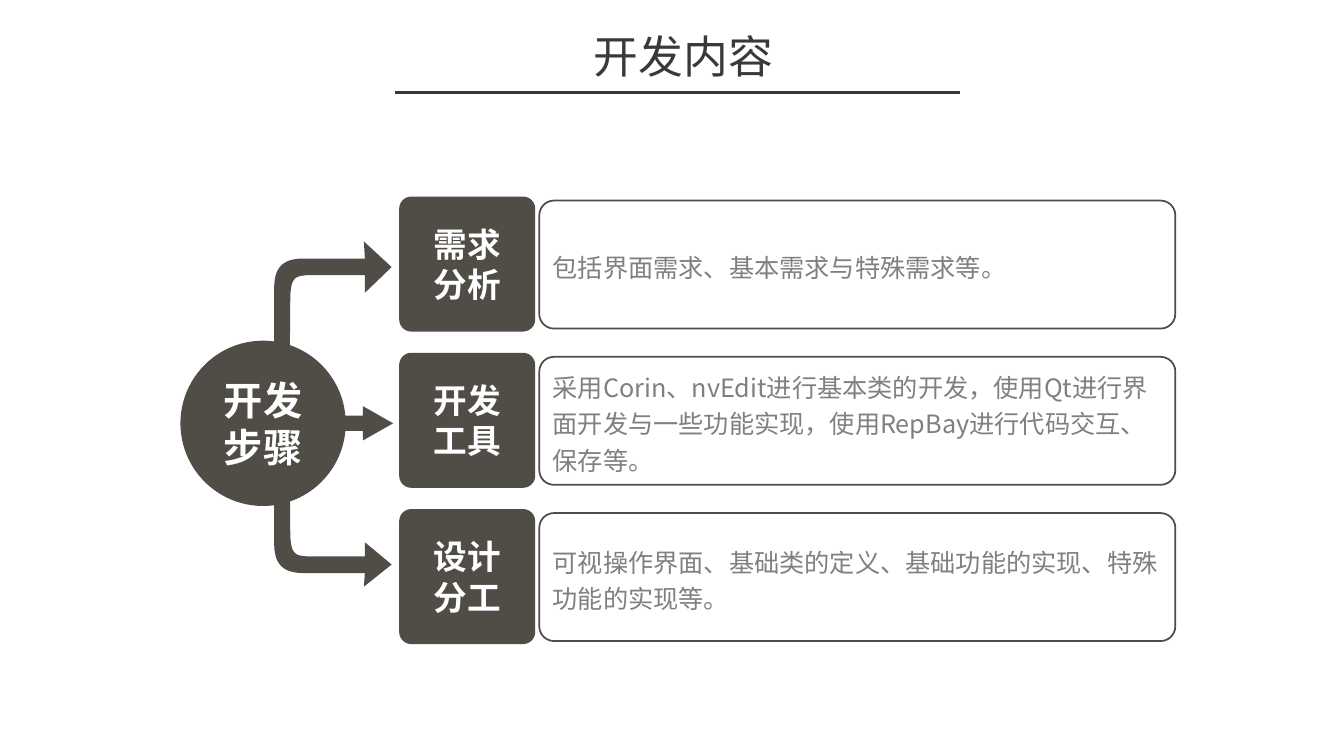
"""Build the development content slide: a hub, three arrows and three described steps."""
from dataclasses import dataclass
from typing import Optional

from lxml import etree
from pptx import Presentation, util as u
from pptx.dml.color import RGBColor
from pptx.enum import shapes as sh, text as tx
from pptx.oxml import ns

CELL = 0.1
COLUMNS, ROWS = 133.33, 75


@dataclass(frozen=True)
class Theme:
    font: str = "Noto Sans CJK SC"
    dark: RGBColor = RGBColor.from_string("504D47")
    heading: RGBColor = RGBColor.from_string("3B3838")
    body: RGBColor = RGBColor.from_string("808080")
    white: RGBColor = RGBColor.from_string("FFFFFF")
    heading_size: int = 32
    hub_size: int = 28
    step_size: int = 24
    body_size: int = 18


@dataclass(frozen=True)
class Area:
    column: float
    row: float
    width: float
    height: float


@dataclass(frozen=True)
class Lettering:
    size: int
    color: RGBColor
    bold: bool = False
    align: tx.PP_ALIGN = tx.PP_ALIGN.CENTER
    spacing: Optional[float] = None
    side_inset: float = 1


@dataclass(frozen=True)
class Step:
    name: str
    detail: str


@dataclass(frozen=True)
class Bend:
    tip_row: float
    outward: int
    barb: float


THEME = Theme()
HEADING = Lettering(THEME.heading_size, THEME.heading)
HUB = Lettering(THEME.hub_size, THEME.white, bold=True)
STEP_NAME = Lettering(THEME.step_size, THEME.white, bold=True, side_inset=2)
DETAIL = Lettering(THEME.body_size, THEME.body, align=tx.PP_ALIGN.LEFT,
                   spacing=1.2, side_inset=0.9)

STEPS = (
    Step("需求分析", "包括界面需求、基本需求与特殊需求等。"),
    Step("开发工具", "采用Corin、nvEdit进行基本类的开发，使用Qt进行界面开发与一些功能实现，"
                 "使用RepBay进行代码交互、保存等。"),
    Step("设计分工", "可视操作界面、基础类的定义、基础功能的实现、特殊功能的实现等。"),
)
BENDS = (Bend(56, 1, 2.2), Bend(26.5, -1, 2.55))
FIRST_ROW, STEP_PITCH = 19.5, 15.5
HUB_ROW = 42


def cells(count: float) -> u.Emu:
    """Turn a count of grid cells into a length."""
    return u.Inches(count * CELL)


def place(area: Area) -> tuple:
    """Give the left, top, width and height of an area."""
    return cells(area.column), cells(area.row), cells(area.width), cells(area.height)


def write(holder, wording: str, style: Lettering, anchor=tx.MSO_ANCHOR.MIDDLE) -> None:
    """Put one styled paragraph into a shape."""
    frame = holder.text_frame
    frame.word_wrap = True
    frame.vertical_anchor = anchor
    frame.margin_left = frame.margin_right = cells(style.side_inset)
    frame.margin_top = frame.margin_bottom = cells(0.45)
    paragraph = frame.paragraphs[0]
    paragraph.text = wording
    paragraph.alignment = style.align
    paragraph.line_spacing = style.spacing
    font = paragraph.font
    font.size, font.bold, font.name = u.Pt(style.size), style.bold, THEME.font
    font.color.rgb = style.color
    latin = next(paragraph._p.iter(ns.qn("a:latin")))
    east_asian = etree.Element(ns.qn("a:ea"), typeface=THEME.font)
    latin.addnext(east_asian)


def paint(figure) -> None:
    """Give a shape the solid dark look."""
    figure.shadow.inherit = False
    figure.fill.solid()
    figure.fill.fore_color.rgb = THEME.dark
    figure.line.fill.background()


def add_solid(slide, kind: sh.MSO_SHAPE, area: Area, adjustments: tuple = ()):
    """Add a dark preset shape."""
    figure = slide.shapes.add_shape(kind, *place(area))
    for index, value in enumerate(adjustments):
        figure.adjustments[index] = value
    paint(figure)
    return figure


def curve(start: tuple, first: tuple, second: tuple, end: tuple) -> list:
    """Sample a cubic curve from start to end."""
    count = 16
    return [tuple((1 - t) ** 3 * a + 3 * (1 - t) ** 2 * t * b
                  + 3 * (1 - t) * t ** 2 * c + t ** 3 * d
                  for a, b, c, d in zip(start, first, second, end))
            for t in (i / count for i in range(count + 1))]


def add_bend(slide, bend: Bend) -> None:
    """Add an arrow that leaves the hub and turns right."""
    stem = (HUB_ROW - bend.tip_row) * -bend.outward
    inner = curve((28.8, -2.8), (28.9, -0.9), (29.4, -0.9), (30.5, -0.8))
    outer = curve((30.1, 0.85), (28, 0.85), (27.2, -0.1), (27.2, -2.1))
    head = [(36.2, -0.8), (36.2, -bend.barb), (38.85, 0),
            (36.1, bend.barb), (36.2, 0.85)]
    outline = [(28.7, -abs(stem)), *inner, *head, *outer, (27.2, -abs(stem))]
    points = [(cells(column), cells(bend.tip_row + bend.outward * offset))
              for column, offset in outline]
    builder = slide.shapes.build_freeform(*points[0])
    builder.add_line_segments(points[1:], close=True)
    paint(builder.convert_to_shape())


def add_detail(slide, row: float, wording: str) -> None:
    """Add the outlined description of a step."""
    panel = slide.shapes.add_shape(sh.MSO_SHAPE.ROUNDED_RECTANGLE,
                                   *place(Area(53.5, row, 63.1, 12.7)))
    panel.adjustments[0] = 0.115
    panel.shadow.inherit = False
    panel.fill.background()
    panel.line.color.rgb = THEME.dark
    panel.line.width = u.Pt(1.25)
    write(panel, wording, DETAIL)


def add_heading(slide, wording: str) -> None:
    """Add the underlined slide heading."""
    heading = slide.shapes.add_textbox(*place(Area(37.5, 2.4, 60.6, 6.4)))
    write(heading, wording, HEADING, tx.MSO_ANCHOR.TOP)
    rule = slide.shapes.add_connector(sh.MSO_CONNECTOR.STRAIGHT, cells(39.2),
                                      cells(9.2), cells(95.2), cells(9.2))
    rule.line.color.rgb = THEME.heading
    rule.line.width = u.Pt(2)
    etree.SubElement(rule._element.spPr, ns.qn("a:effectLst"))


def main() -> None:
    """Compose and save the slide."""
    deck = Presentation()
    deck.slide_width, deck.slide_height = cells(COLUMNS), cells(ROWS)
    slide = deck.slides.add_slide(deck.slide_layouts[6])
    for bend in BENDS:
        add_bend(slide, bend)
    add_solid(slide, sh.MSO_SHAPE.RIGHT_ARROW, Area(25.1, 40.3, 13.9, 3.4), (0.44, 0.88))
    hub = add_solid(slide, sh.MSO_SHAPE.OVAL, Area(17.9, 33.8, 16.4, 16.4))
    write(hub, "开发步骤", HUB)
    for index, step in enumerate(STEPS):
        row = FIRST_ROW + index * STEP_PITCH
        add_detail(slide, row + 0.4, step.detail)
        card = add_solid(slide, sh.MSO_SHAPE.ROUNDED_RECTANGLE,
                         Area(39.6, row, 13.5, 13.4), (0.09,))
        write(card, step.name, STEP_NAME)
    add_heading(slide, "开发内容")
    deck.save("out.pptx")


if __name__ == "__main__":
    main()
